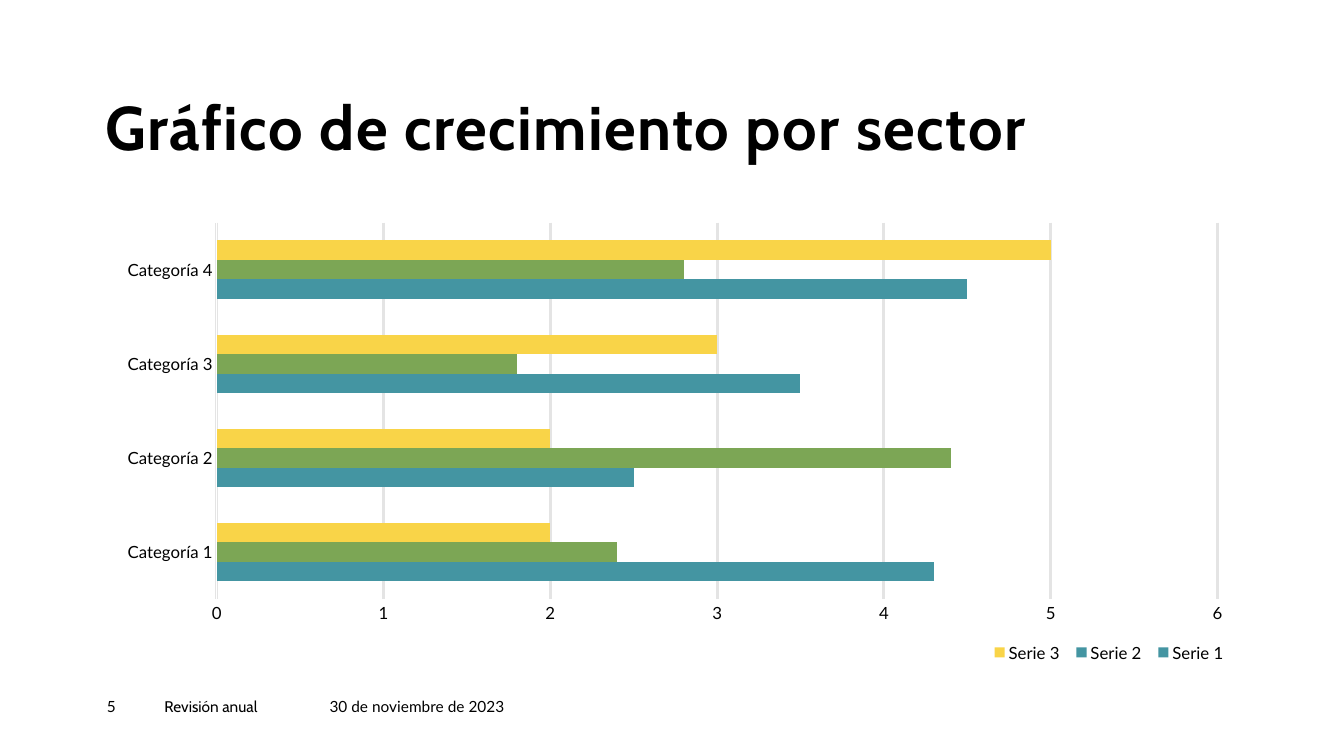
from lxml.etree import SubElement
from pptx import Presentation
from pptx.chart.data import CategoryChartData
from pptx.dml.color import RGBColor
from pptx.enum.chart import XL_CHART_TYPE as ChartType
from pptx.enum.chart import XL_LEGEND_POSITION as LegendPosition
from pptx.enum.chart import XL_TICK_MARK as TickMark
from pptx.enum.text import MSO_ANCHOR as Anchor
from pptx.oxml.ns import qn
from pptx.util import Pt

COLORS = {
    "text": "000000",
    "background": "FFFFFF",
    "grid": "E4E4E4",
    "teal": "4495A2",
    "green": "7CA655",
    "yellow": "F9D448",
}
CATEGORIES = [f"Categoría {number}" for number in range(1, 5)]
SERIES = [
    ("Serie 1", (4.3, 2.5, 3.5, 4.5), "teal"),
    ("Serie 2", (2.4, 4.4, 1.8, 2.8), "teal"),
    ("Serie 3", (2, 2, 3, 5), "yellow"),
]
FOOTER = [
    ("5", 76.3, 41, "Lato"),
    ("Revisión anual", 117.4, 118, "Cabin"),
    ("30 de noviembre de 2023", 235.4, 132.5, "Lato"),
]


def color(name):
    return RGBColor.from_string(COLORS[name])


def set_font(font, size, name="Lato", bold=False):
    font.size = Pt(size)
    font.name = name
    font.bold = bold
    font.color.rgb = color("text")


def paint(fill, name):
    fill.solid()
    fill.fore_color.rgb = color(name)


def add_text(slide, text, box, size, font_name, bold=False, anchor=Anchor.TOP):
    frame = slide.shapes.add_textbox(*map(Pt, box)).text_frame
    frame.word_wrap = True
    frame.vertical_anchor = anchor
    frame.margin_left = frame.margin_right = 0
    frame.margin_top = frame.margin_bottom = 0
    paragraph = frame.paragraphs[0]
    paragraph.text = text
    set_font(paragraph.font, size, font_name, bold)
    return paragraph


def add_title(slide, text):
    box = (75.6, 69.1, 722.2, 48.2)
    paragraph = add_text(slide, text, box, 44, "Cabin", True, Anchor.BOTTOM)
    paragraph.line_spacing = 0.9
    paragraph.runs[0].font._element.set("spc", "100")


def place_part(part, position, follows, target=None):
    layout = part.find(qn("c:layout"))
    if layout is not None:
        part.remove(layout)
    layout = SubElement(part, qn("c:layout"))
    part.insert(follows, layout)
    manual = SubElement(layout, qn("c:manualLayout"))
    settings = [("layoutTarget", target)] if target else []
    settings += [("xMode", "edge"), ("yMode", "edge")]
    settings += zip("xywh", position)
    for tag, value in settings:
        SubElement(manual, qn(f"c:{tag}")).set("val", str(value))


def style_axes(chart):
    for axis in (chart.category_axis, chart.value_axis):
        axis.major_tick_mark = axis.minor_tick_mark = TickMark.NONE
        set_font(axis.tick_labels.font, 12)
    category_line = chart.category_axis.format.line
    category_line.width = Pt(0.75)
    paint(category_line.fill, "background")
    value_axis = chart.value_axis
    value_axis.minimum_scale = 0
    value_axis.maximum_scale = 6
    value_axis.major_unit = 1
    value_axis.tick_labels.number_format = "General"
    value_axis.tick_labels.number_format_is_linked = False
    value_axis.format.line.fill.background()
    value_axis.has_major_gridlines = True
    grid_line = value_axis.major_gridlines.format.line
    grid_line.width = Pt(2)
    paint(grid_line.fill, "grid")


def add_growth_chart(slide):
    data = CategoryChartData()
    data.categories = CATEGORIES
    for name, values, _ in SERIES:
        data.add_series(name, values)
    box = map(Pt, (75, 152.6, 815, 324))
    chart = slide.shapes.add_chart(ChartType.BAR_CLUSTERED, *box, data).chart
    set_font(chart.font, 10)
    chart.has_title = False
    plot = chart.plots[0]
    plot.gap_width = 182
    plot.vary_by_categories = False
    for series, (_, _, fill_name) in zip(plot.series, SERIES):
        series.invert_if_negative = False
        paint(series.format.fill, fill_name)
    for index in range(len(CATEGORIES)):
        paint(plot.series[1].points[index].format.fill, "green")
    style_axes(chart)
    chart.has_legend = True
    chart.legend.position = LegendPosition.BOTTOM
    chart.legend.include_in_layout = False
    set_font(chart.legend.font, 12)
    plot_area = chart.element.find(".//" + qn("c:plotArea"))
    legend = chart.element.find(".//" + qn("c:legend"))
    place_part(plot_area, (0.098, 0.02, 0.877, 0.83), 0, "inner")
    place_part(legend, (0.77, 0.935, 0.22, 0.065), 1)


def main():
    presentation = Presentation()
    presentation.slide_width = Pt(960)
    presentation.slide_height = Pt(540)
    slide = presentation.slides.add_slide(presentation.slide_layouts[6])
    paint(slide.background.fill, "background")
    add_title(slide, "Gráfico de crecimiento por sector")
    add_growth_chart(slide)
    for text, left, width, font_name in FOOTER:
        add_text(slide, text, (left, 498.2, width, 19.4), 11, font_name)
    presentation.save("out.pptx")


if __name__ == "__main__":
    main()
